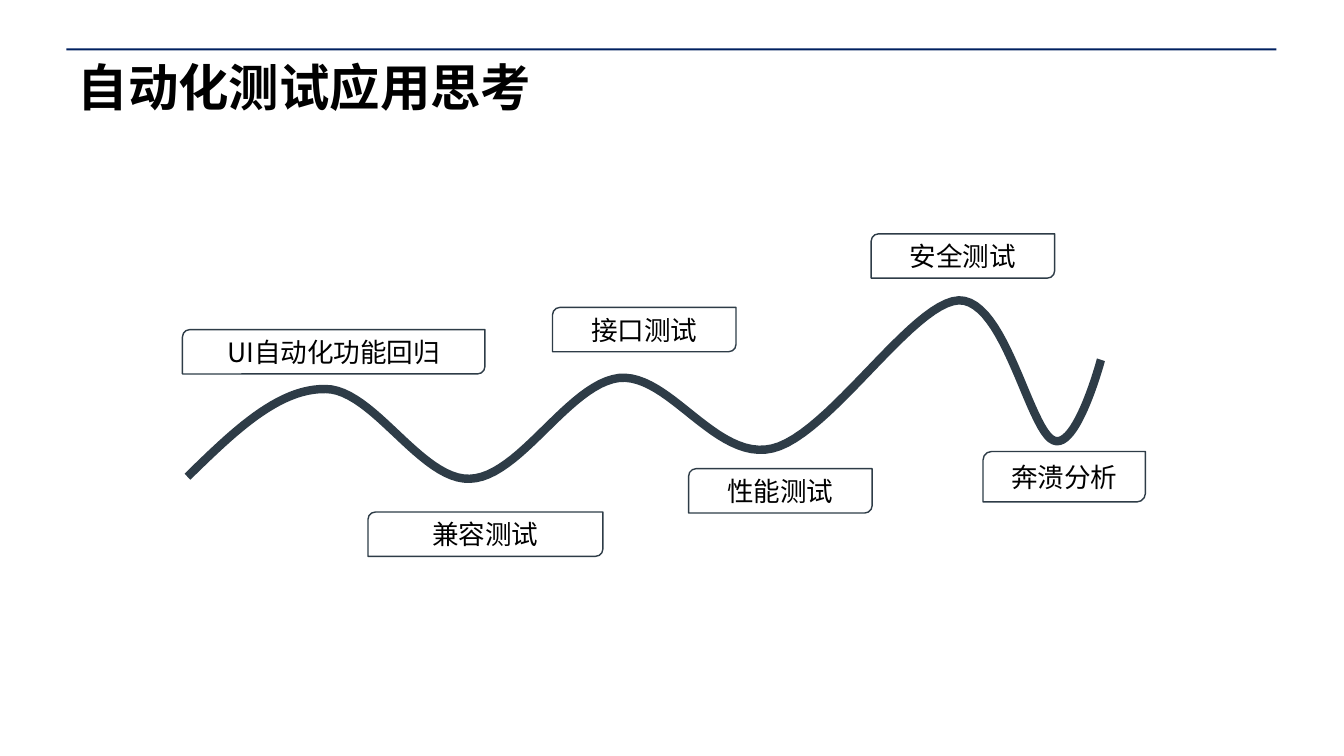
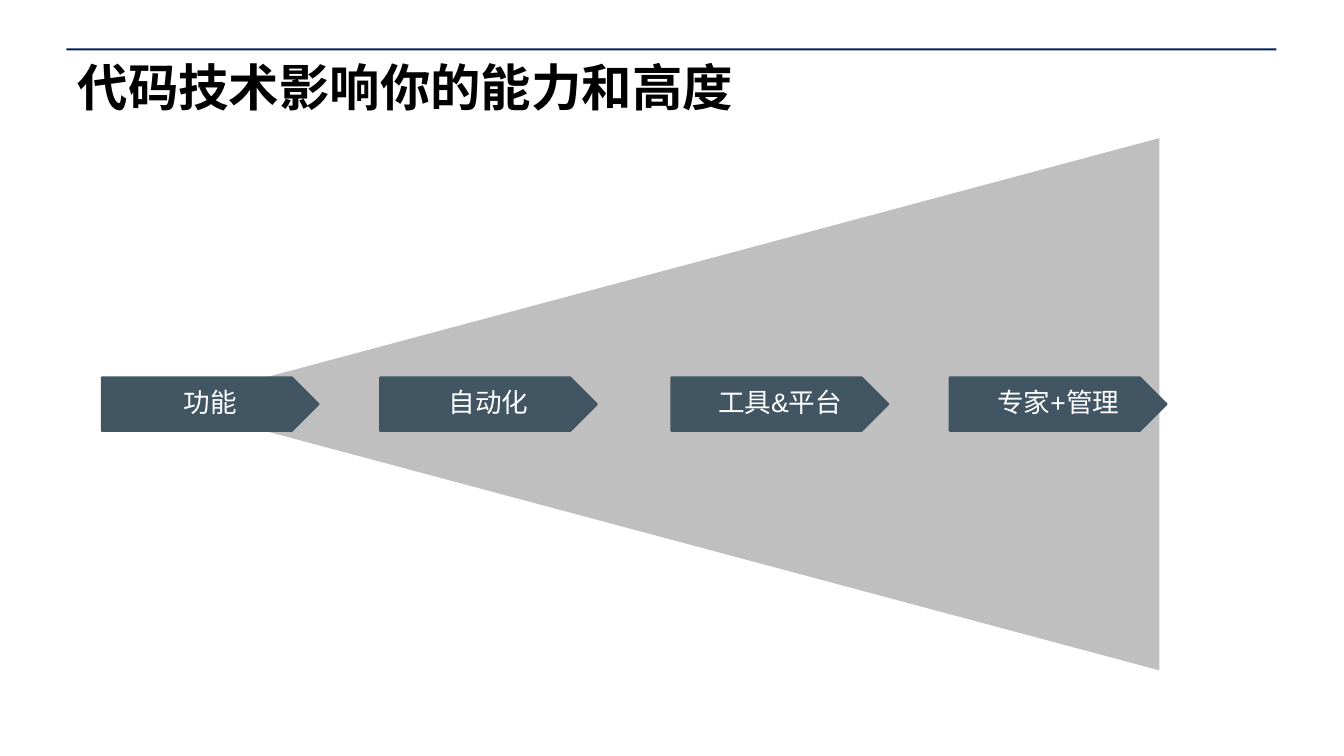
"""Build two slides: a curve of test types and a widening path of skills."""
from lxml import etree
from pptx import Presentation
from pptx import util as u
from pptx.dml.color import RGBColor
from pptx.enum import shapes, text
from pptx.oxml.ns import qn

PX = 9144
SLIDE_SIZE = (1333, 750)

NAVY = RGBColor(0x00, 0x20, 0x60)
SLATE = RGBColor(0x2E, 0x3C, 0x47)
STEEL = RGBColor(0x42, 0x55, 0x63)
GREY = RGBColor(0xBF, 0xBF, 0xBF)
BLACK = RGBColor(0x00, 0x00, 0x00)
WHITE = RGBColor(0xFF, 0xFF, 0xFF)

CJK_FONT = "Noto Sans CJK SC"
LATIN_FONT = "Arial"

RULE = (66, 48, 1200, 2)
TITLE = (67, 57, 1199, 93)

CURVE_TITLE = "自动化测试应用思考"
CURVE_START = (186, 473)
CURVE_BENDS = [
    ((231, 429), (276, 385), (323, 386)),
    ((370, 386), (418, 477), (466, 475)),
    ((515, 474), (564, 381), (614, 375)),
    ((664, 370), (710, 458), (766, 445)),
    ((822, 432), (905, 300), (951, 298)),
    ((997, 297), (1021, 427), (1045, 437)),
    ((1068, 447), (1092, 357), (1092, 357)),
]
BEND_STEPS = 24
LABELS = [
    ("UI自动化功能回归", (181, 327, 300, 44)),
    ("兼容测试", (365, 508, 233, 44)),
    ("接口测试", (548, 305, 182, 44)),
    ("性能测试", (683, 465, 182, 44)),
    ("安全测试", (864, 232, 182, 44)),
    ("奔溃分析", (975, 448, 161, 50)),
]

SKILL_TITLE = "代码技术影响你的能力和高度"
MID_Y = 401
WEDGE_LEFT, WEDGE_LENGTH, WEDGE_SPREAD = 164, 986, 528
STEP_WIDTH, STEP_HEIGHT = 215, 53
STEPS = [("功能", 101), ("自动化", 377), ("工具&平台", 666), ("专家+管理", 942)]


def emu(values):
    return [round(value * PX) for value in values]


def write(shape, words, size, color, latin, spacing=1.0, bold=False,
          align=text.PP_ALIGN.CENTER, anchor=text.MSO_ANCHOR.MIDDLE, left_inset=10):
    frame = shape.text_frame
    frame.word_wrap = True
    frame.auto_size = text.MSO_AUTO_SIZE.NONE
    frame.vertical_anchor = anchor
    frame.margin_left, frame.margin_right = emu((left_inset, 10))
    frame.margin_top = frame.margin_bottom = 5 * PX
    para = frame.paragraphs[0]
    para.text = words
    para.alignment = align
    para.line_spacing = spacing
    font = para.font
    font.size, font.bold, font.name = u.Pt(size), bold, latin
    font.color.rgb = color
    defaults = para._p.pPr.find(qn("a:defRPr"))
    etree.SubElement(defaults, qn("a:ea"), typeface=CJK_FONT)


def add_block(page, kind, area, fill, line=None, weight=1.0):
    block = page.shapes.add_shape(kind, *emu(area))
    block.shadow.inherit = False
    block.fill.solid()
    block.fill.fore_color.rgb = fill
    if line is None:
        block.line.fill.background()
    else:
        block.line.color.rgb = line
        block.line.width = u.Pt(weight)
    return block


def add_page(deck, heading):
    page = deck.slides.add_slide(deck.slide_layouts[5])
    title = page.shapes.title
    title.left, title.top, title.width, title.height = emu(TITLE)
    write(title, heading, 36, BLACK, CJK_FONT, spacing=0.9, bold=True,
          align=text.PP_ALIGN.LEFT, anchor=text.MSO_ANCHOR.TOP)
    add_block(page, shapes.MSO_SHAPE.RECTANGLE, RULE, NAVY)
    return page


def curve_points():
    start = CURVE_START
    for first, second, end in CURVE_BENDS:
        for step in range(1, BEND_STEPS + 1):
            t = step / BEND_STEPS
            s = 1 - t
            yield emu(s**3 * a + 3 * s * s * t * b + 3 * s * t * t * c + t**3 * d
                      for a, b, c, d in zip(start, first, second, end))
        start = end


def build_curve_page(deck):
    page = add_page(deck, CURVE_TITLE)
    builder = page.shapes.build_freeform(*emu(CURVE_START))
    builder.add_line_segments(curve_points(), close=False)
    curve = builder.convert_to_shape()
    curve.shadow.inherit = False
    curve.fill.background()
    curve.line.color.rgb = SLATE
    curve.line.width = u.Pt(6)
    for words, area in LABELS:
        label = add_block(page, shapes.MSO_SHAPE.ROUND_2_DIAG_RECTANGLE, area, WHITE, SLATE)
        write(label, words, 19, BLACK, CJK_FONT)


def build_skill_page(deck):
    page = add_page(deck, SKILL_TITLE)
    center_x = WEDGE_LEFT + WEDGE_LENGTH / 2
    area = (center_x - WEDGE_SPREAD / 2, MID_Y - WEDGE_LENGTH / 2, WEDGE_SPREAD, WEDGE_LENGTH)
    wedge = add_block(page, shapes.MSO_SHAPE.FLOWCHART_EXTRACT, area, GREY)
    wedge.rotation = 270
    for words, left in STEPS:
        area = (left, MID_Y - STEP_HEIGHT / 2, STEP_WIDTH, STEP_HEIGHT)
        arrow = add_block(page, shapes.MSO_SHAPE.PENTAGON, area, STEEL, STEEL, 1.5)
        write(arrow, words, 19, WHITE, LATIN_FONT, spacing=0.9,
              left_inset=10 + STEP_HEIGHT / 4)


def main():
    deck = Presentation()
    deck.slide_width, deck.slide_height = emu(SLIDE_SIZE)
    build_curve_page(deck)
    build_skill_page(deck)
    deck.save("out.pptx")


if __name__ == "__main__":
    main()
